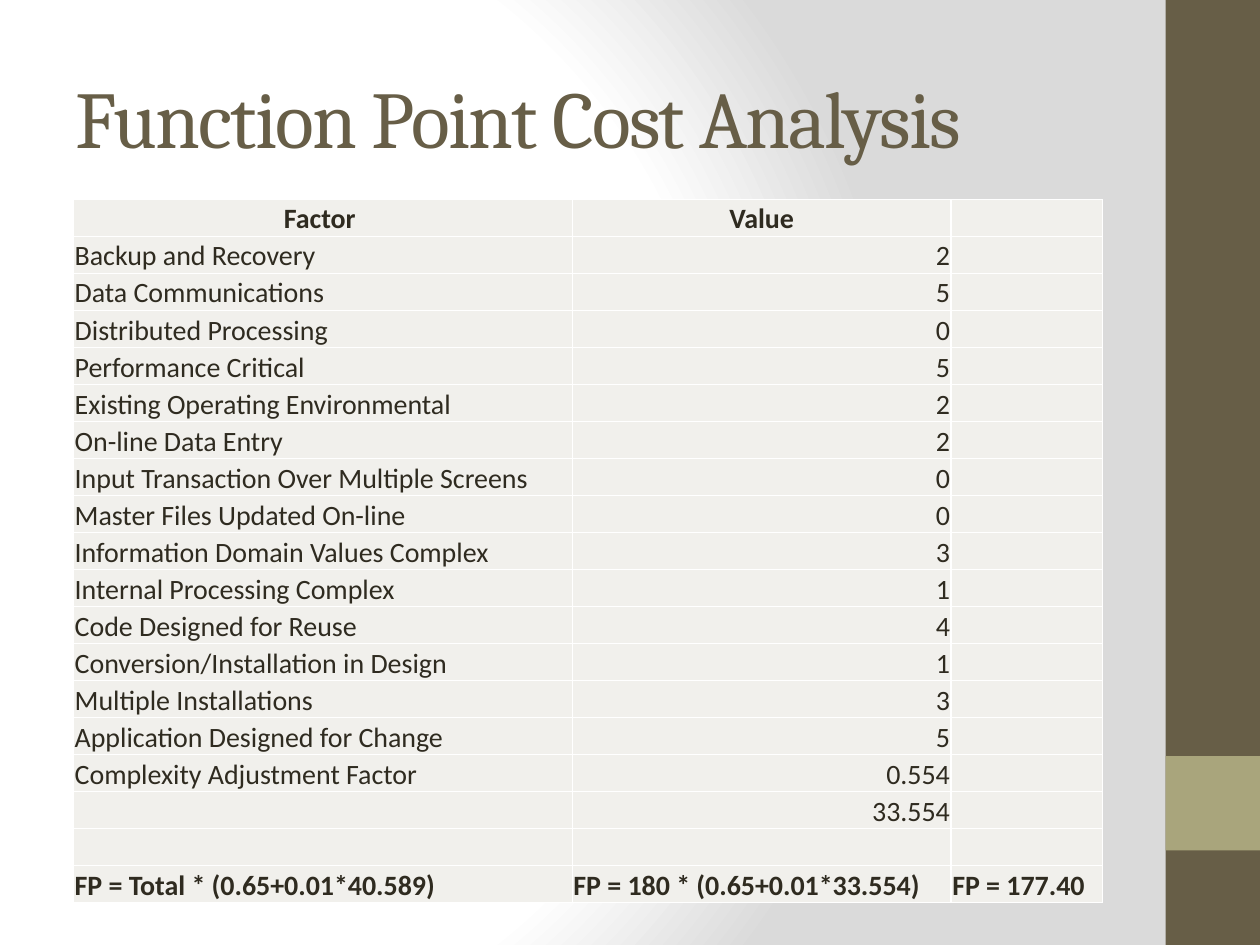
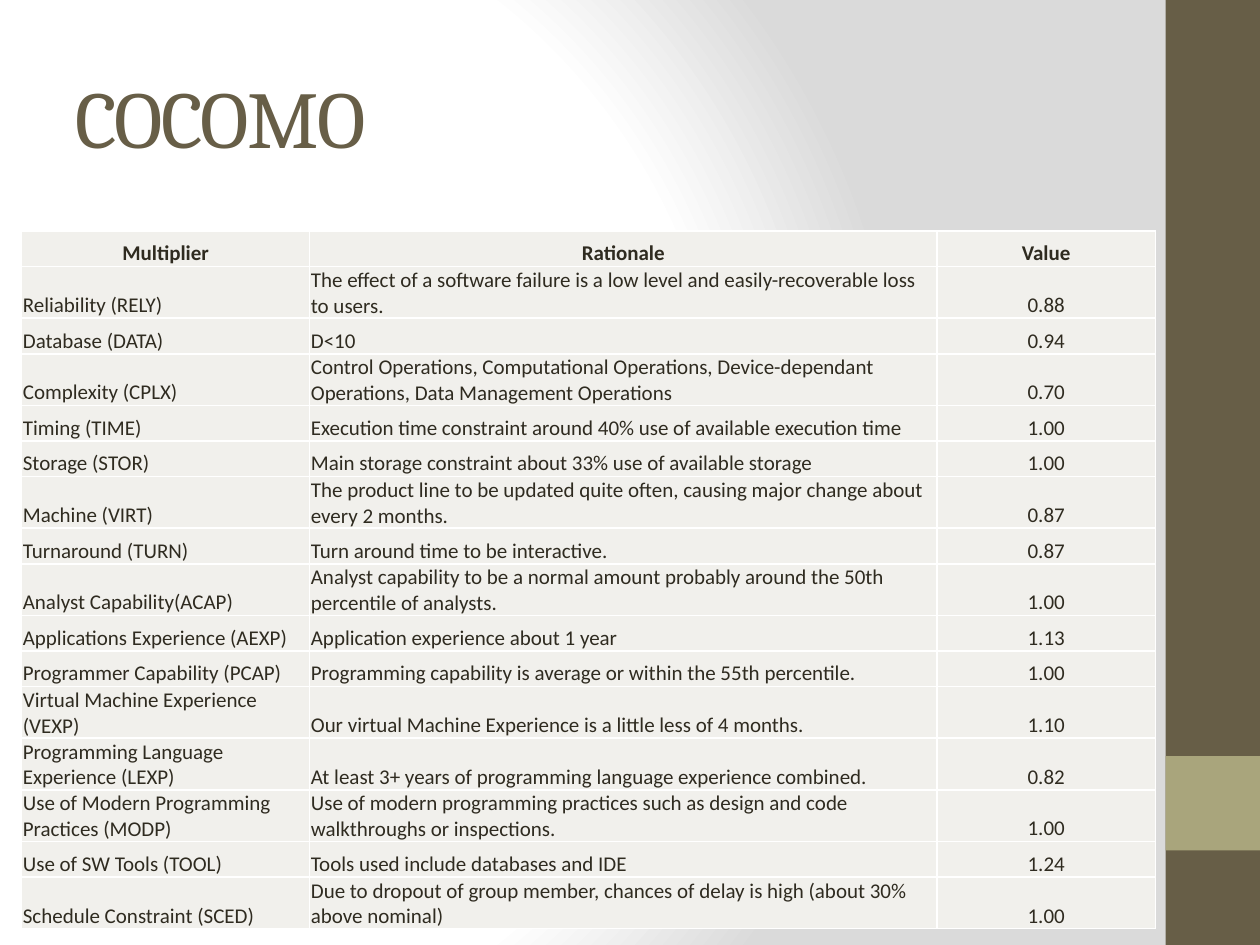
from lxml import etree
from pptx import Presentation
from pptx import util as u
from pptx.dml.color import RGBColor
from pptx.enum import shapes, text
from pptx.oxml import ns, parse_xml

Pt = u.Pt
WHITE = RGBColor(0xFF, 0xFF, 0xFF)
MIST = RGBColor(0xDA, 0xDA, 0xDA)
BROWN = RGBColor(0x67, 0x5E, 0x47)
OLIVE = RGBColor(0xA9, 0xA5, 0x7C)
CELL = RGBColor(0xF1, 0xF0, 0xEC)
INK = RGBColor(0x2F, 0x2B, 0x20)

SLIDE_W, SLIDE_H = 720, 540
TITLE_BOX = (36, 21.6, 600, 90)
SIDE_BAND = (666, 0, 54, SLIDE_H)
LEFT, CENTER, RIGHT = text.PP_ALIGN.LEFT, text.PP_ALIGN.CENTER, text.PP_ALIGN.RIGHT

FACTORS = [
    ("Backup and Recovery", "2"),
    ("Data Communications", "5"),
    ("Distributed Processing", "0"),
    ("Performance Critical", "5"),
    ("Existing Operating Environmental", "2"),
    ("On-line Data Entry", "2"),
    ("Input Transaction Over Multiple Screens", "0"),
    ("Master Files Updated On-line", "0"),
    ("Information Domain Values Complex", "3"),
    ("Internal Processing Complex", "1"),
    ("Code Designed for Reuse", "4"),
    ("Conversion/Installation in Design", "1"),
    ("Multiple Installations", "3"),
    ("Application Designed for Change", "5"),
    ("Complexity Adjustment Factor", "0.554"),
    ("", "33.554"),
    ("", ""),
]
FORMULAS = ("FP = Total * (0.65+0.01*40.589)", "FP = 180 * (0.65+0.01*33.554)", "FP = 177.40")

MULTIPLIERS = [
    ("Reliability (RELY)",
     "The effect of a software failure is a low level and easily-recoverable loss to users.", "0.88"),
    ("Database (DATA)", "D<10", "0.94"),
    ("Complexity (CPLX)",
     "Control Operations, Computational Operations, Device-dependant Operations, "
     "Data Management Operations", "0.70"),
    ("Timing (TIME)",
     "Execution time constraint around 40% use of available execution time", "1.00"),
    ("Storage (STOR)", "Main storage constraint about 33% use of available storage", "1.00"),
    ("Machine (VIRT)",
     "The product line to be updated quite often, causing major change about every 2 months.", "0.87"),
    ("Turnaround (TURN)", "Turn around time to be interactive.", "0.87"),
    ("Analyst Capability(ACAP)",
     "Analyst capability to be a normal amount probably around the 50th percentile of analysts.",
     "1.00"),
    ("Applications Experience (AEXP)", "Application experience about 1 year", "1.13"),
    ("Programmer Capability (PCAP)",
     "Programming capability is average or within the 55th percentile.", "1.00"),
    ("Virtual Machine Experience (VEXP)",
     "Our virtual Machine Experience is a little less of 4 months.", "1.10"),
    ("Programming Language Experience (LEXP)",
     "At least 3+ years of programming language experience combined.", "0.82"),
    ("Use of Modern Programming Practices (MODP)",
     "Use of modern programming practices such as design and code walkthroughs or inspections.",
     "1.00"),
    ("Use of SW Tools (TOOL)", "Tools used include databases and IDE", "1.24"),
    ("Schedule Constraint (SCED)",
     "Due to dropout of group member, chances of delay is high (about 30% above nominal)", "1.00"),
]


def write_text(frame, words, *, font, size, color, bold=False, align=LEFT, spacing=0):
    paragraph = frame.paragraphs[0]
    paragraph.alignment = align
    if not words:
        # An empty cell still needs its text size, or the row grows
        end = etree.SubElement(paragraph._p, ns.qn("a:endParaRPr"))
        end.set("sz", str(size * 100))
        return
    run = paragraph.add_run()
    run.text = words
    run.font.name, run.font.size, run.font.bold = font, Pt(size), bold
    run.font.color.rgb = color
    if spacing:
        run.font._element.set("spc", str(spacing * 100))


def paint_background(slide):
    slide.background.fill.solid()
    properties = slide._element.find(f".//{ns.qn('p:bgPr')}")
    stops = "".join(f'<a:gs pos="{pos}000"><a:srgbClr val="{color}"/></a:gs>'
                    for pos, color in ((0, WHITE), (75, WHITE), (100, MIST)))
    properties.replace(properties[0], parse_xml(
        f'<a:gradFill {ns.nsdecls("a")} rotWithShape="1"><a:gsLst>{stops}</a:gsLst>'
        '<a:path path="circle"><a:fillToRect l="20000" t="50000" r="100000" b="50000"/></a:path>'
        '</a:gradFill>'))


def add_block(slide, box, color):
    block = slide.shapes.add_shape(shapes.MSO_SHAPE.RECTANGLE, *map(Pt, box))
    block.shadow.inherit = False
    block.fill.solid()
    block.fill.fore_color.rgb = color
    block.line.fill.background()


def add_side_band(slide, box):
    left, top, width, height = box
    add_block(slide, box, BROWN)
    add_block(slide, (left, top + height * 0.8, width, height * 0.1), OLIVE)


def add_title(slide, box, words):
    frame = slide.shapes.add_textbox(*map(Pt, box)).text_frame
    frame.word_wrap = True
    frame.vertical_anchor = text.MSO_ANCHOR.MIDDLE
    write_text(frame, words, font="Cambria", size=46, color=BROWN, spacing=-1)


def style_cell(cell):
    cell.margin_left = cell.margin_right = cell.margin_top = Pt(0.7)
    cell.margin_bottom = 0
    cell.vertical_anchor = text.MSO_ANCHOR.BOTTOM
    # Borders come before the fill in the cell properties
    for side in "LRTB":
        cell._tc.get_or_add_tcPr().append(parse_xml(
            f'<a:ln{side} {ns.nsdecls("a")} w="{Pt(1)}"><a:solidFill>'
            f'<a:srgbClr val="{WHITE}"/></a:solidFill></a:ln{side}>'))
    cell.fill.solid()
    cell.fill.fore_color.rgb = CELL


def add_grid(slide, origin, rows, *, widths, row_height, size, aligns, bold_rows):
    """Table whose first row is centred; bold rows after it are left-aligned."""
    box = (*origin, sum(widths), row_height * len(rows))
    grid = slide.shapes.add_table(len(rows), len(widths), *map(Pt, box)).table
    grid.first_row = grid.horz_banding = False
    for column, width in zip(grid.columns, widths):
        column.width = Pt(width)
    for r, row in enumerate(rows):
        grid.rows[r].height = Pt(row_height)
        bold = r in bold_rows
        for c, words in enumerate(row):
            cell = grid.cell(r, c)
            style_cell(cell)
            align = CENTER if r == 0 else LEFT if bold else aligns[c]
            write_text(cell.text_frame, words, font="Calibri", size=size,
                       color=INK, bold=bold, align=align)


def add_base_slide(deck, title):
    slide = deck.slides.add_slide(deck.slide_layouts[6])
    paint_background(slide)
    add_side_band(slide, SIDE_BAND)
    add_title(slide, TITLE_BOX, title)
    return slide


def add_function_points(deck):
    slide = add_base_slide(deck, "Function Point Cost Analysis")
    rows = [("Factor ", "Value", ""), *((*factor, "") for factor in FACTORS), FORMULAS]
    add_grid(slide, (42, 114), rows, widths=(285, 216.5, 86.5), row_height=21.15, size=16,
             aligns=(LEFT, RIGHT, LEFT), bold_rows=(0, len(rows) - 1))


def add_cocomo(deck):
    slide = add_base_slide(deck, "COCOMO")
    rows = [("Multiplier", "Rationale", "Value"), *MULTIPLIERS]
    add_grid(slide, (12.4, 132), rows, widths=(164.6, 358.4, 125), row_height=20.35, size=12,
             aligns=(LEFT, LEFT, CENTER), bold_rows=(0,))


def main():
    deck = Presentation()
    deck.slide_width, deck.slide_height = Pt(SLIDE_W), Pt(SLIDE_H)
    add_function_points(deck)
    add_cocomo(deck)
    deck.save("out.pptx")


if __name__ == "__main__":
    main()
